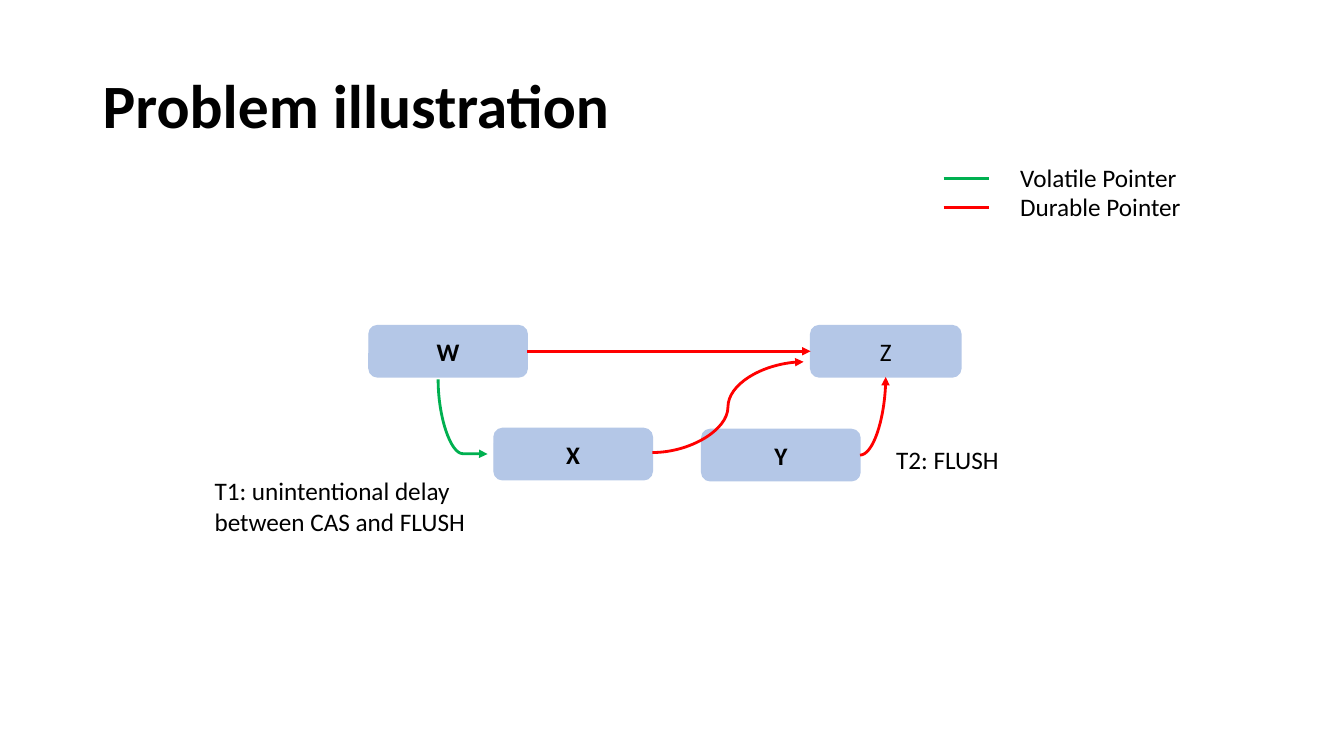
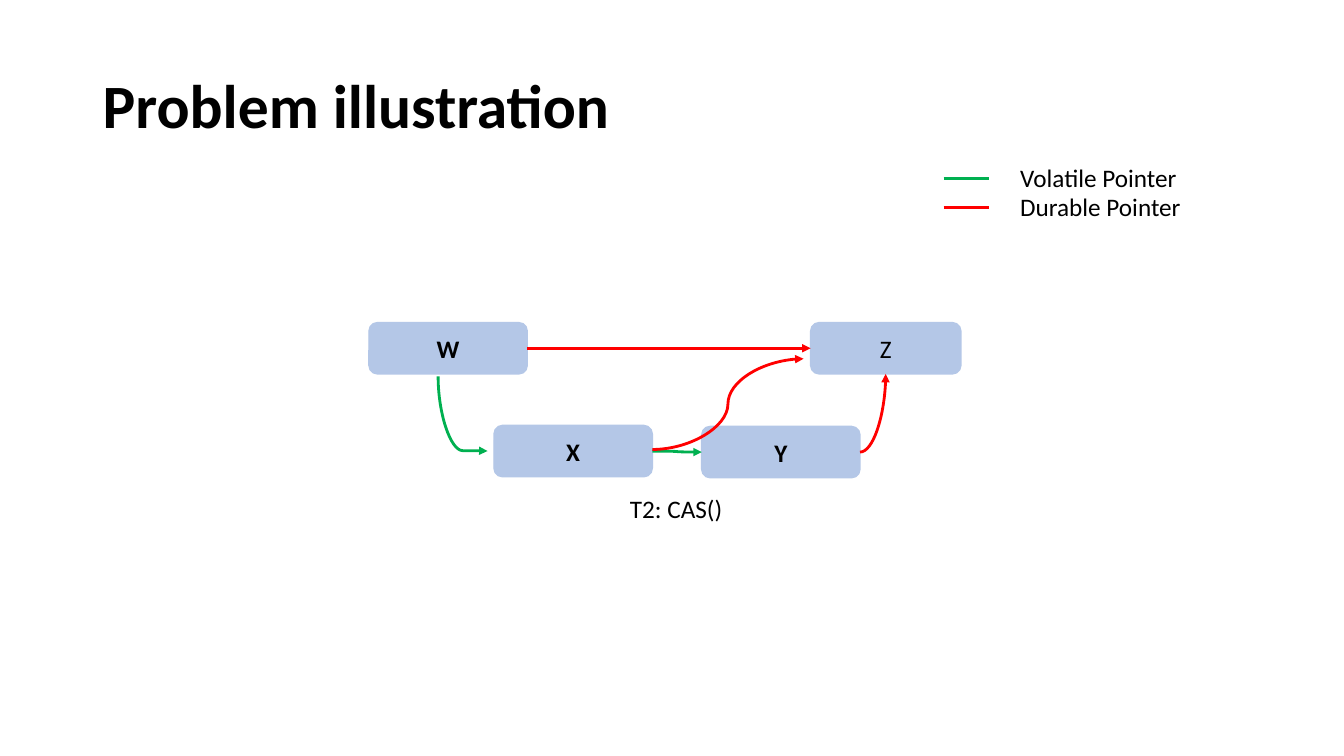
"""Build two slides that show volatile and durable pointers between nodes."""
from lxml import etree
from pptx import Presentation
from pptx.dml.color import RGBColor
from pptx.enum.shapes import MSO_CONNECTOR, MSO_SHAPE
from pptx.enum.text import MSO_ANCHOR, PP_ALIGN
from pptx.oxml.ns import qn
from pptx.util import Inches, Pt

STRAIGHT, CURVE = MSO_CONNECTOR.STRAIGHT, MSO_CONNECTOR.CURVE
ROUNDED = MSO_SHAPE.ROUNDED_RECTANGLE
MIDDLE, CENTER = MSO_ANCHOR.MIDDLE, PP_ALIGN.CENTER
TOP_SIDE, LEFT_SIDE, BOTTOM_SIDE, RIGHT_SIDE = range(4)

COLORS = {"text": "000000", "node": "B4C7E7", "durable": "FF0000", "volatile": "00B050"}
FONT = "Calibri"
NODE_HEIGHT = 0.51
NODES = [
    ("W", 3.66, 0, 1.57, True),
    ("Z", 8.04, 0, 1.49, False),
    ("X", 4.9, 1.02, 1.57, True),
    ("Y", 6.96, 1.03, 1.57, True),
]
LEGEND = [("Volatile Pointer", "volatile", 1.79), ("Durable Pointer", "durable", 1.86)]
SLIDES = [
    {
        "top": 3.23,
        "x_to_y": False,
        "notes": [
            (8.79, 4.36, 1.31, 0.4, ["T2: FLUSH"]),
            (2.03, 4.67, 2.84, 0.71, ["T1: unintentional delay", "between CAS and FLUSH"]),
        ],
    },
    {"top": 3.2, "x_to_y": True, "notes": [(6.15, 4.84, 1.17, 0.4, ["T2: CAS()"])]},
]


def write(shape, lines, size=18, bold=False):
    """Write one paragraph per line into a shape and return its text frame."""
    frame = shape.text_frame
    for index, line in enumerate(lines):
        paragraph = frame.paragraphs[0] if index == 0 else frame.add_paragraph()
        run = paragraph.add_run()
        run.text = line
        run.font.name, run.font.size, run.font.bold = FONT, Pt(size), bold
        run.font.color.rgb = RGBColor.from_string(COLORS["text"])
    return frame


def add_line(slide, kind, ends, color, width=2, arrow=True):
    """Draw a connector between two points, with an optional arrowhead."""
    line = slide.shapes.add_connector(kind, *map(Inches, ends))
    line.line.color.rgb = RGBColor.from_string(COLORS[color])
    line.line.width = Pt(width)
    if arrow:
        etree.SubElement(line.line._get_or_add_ln(), qn("a:tailEnd"), type="triangle")
    etree.SubElement(line._element.spPr, qn("a:effectLst"))
    return line


presentation = Presentation()
presentation.slide_width, presentation.slide_height = Inches(13.33), Inches(7.5)

for content in SLIDES:
    slide = presentation.slides.add_slide(presentation.slide_layouts[6])
    top = content["top"]

    title = slide.shapes.add_textbox(Inches(0.92), Inches(0.4), Inches(11.5), Inches(1.36))
    frame = write(title, ["Problem illustration"], 44, True)
    frame.word_wrap, frame.vertical_anchor = True, MIDDLE
    frame.paragraphs[0].line_spacing = 0.9

    nodes = {}
    for name, left, drop, width, bold in NODES:
        node = slide.shapes.add_shape(
            ROUNDED, Inches(left), Inches(top + drop), Inches(width), Inches(NODE_HEIGHT))
        node.shadow.inherit = False
        node.fill.solid()
        node.fill.fore_color.rgb = RGBColor.from_string(COLORS["node"])
        node.line.color.rgb = RGBColor.from_string(COLORS["node"])
        node.line.width = Pt(1)
        frame = write(node, [name], bold=bold)
        frame.vertical_anchor = MIDDLE
        frame.paragraphs[0].alignment = CENTER
        nodes[name] = node

    w_to_z = add_line(slide, STRAIGHT, (5.23, top + 0.26, 8.04, top + 0.26), "durable")
    w_to_z.begin_connect(nodes["W"], RIGHT_SIDE)
    w_to_z.end_connect(nodes["Z"], LEFT_SIDE)

    if content["x_to_y"]:
        x_to_y = add_line(slide, CURVE, (6.47, top + 1.27, 6.96, top + 1.29), "volatile")
        x_to_y.begin_connect(nodes["X"], RIGHT_SIDE)
        x_to_y.end_connect(nodes["Y"], LEFT_SIDE)

    add_line(slide, CURVE, (6.47, top + 1.26, 7.97, top + 0.36), "durable")

    w_to_x = add_line(slide, CURVE, (4.96, top + 0.66, 4.22, top + 1.15), "volatile")
    w_to_x._element.spPr.find(qn("a:xfrm")).set("rot", str(270 * 60000))
    guides = w_to_x._element.spPr.find(qn("a:prstGeom")).get_or_add_avLst()
    etree.SubElement(guides, qn("a:gd"), name="adj1", fmla="val 99500")

    y_to_z = add_line(slide, CURVE, (8.53, top + 1.29, 8.79, top + 0.51), "durable")
    y_to_z._element.spPr.find(qn("a:prstGeom")).set("prst", "curvedConnector2")
    y_to_z.begin_connect(nodes["Y"], RIGHT_SIDE)
    y_to_z.end_connect(nodes["Z"], BOTTOM_SIDE)

    labels = list(content["notes"])
    for row, (label, color, width) in enumerate(LEGEND):
        middle = 1.77 + row * 0.29
        add_line(slide, STRAIGHT, (9.36, middle, 9.81, middle), color, 2.5, False)
        labels.append((10.02, middle - 0.21, width, 0.4, [label]))

    for *box, lines in labels:
        label = slide.shapes.add_textbox(*map(Inches, box))
        write(label, lines).word_wrap = False

presentation.save("out.pptx")
